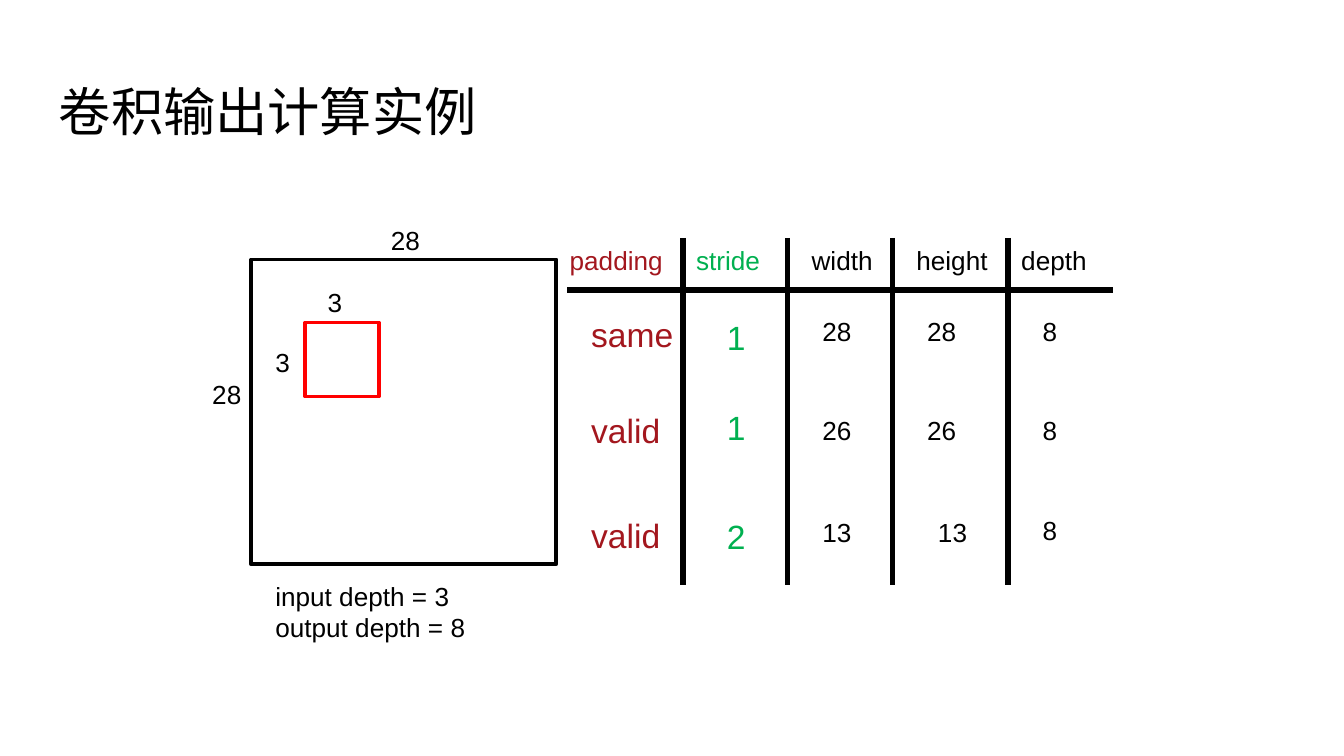
from dataclasses import dataclass

from lxml.etree import SubElement
from pptx import Presentation
from pptx.dml.color import RGBColor
from pptx.enum.shapes import MSO_CONNECTOR, MSO_SHAPE
from pptx.enum.text import MSO_ANCHOR
from pptx.oxml.ns import qn
from pptx.slide import Slide
from pptx.util import Pt


@dataclass(frozen=True)
class Theme:
    font: str = "Arial"
    ink: str = "000000"
    red: str = "FF0000"
    pad: str = "A3171E"
    green: str = "00B050"
    title: float = 28
    large: float = 18
    body: float = 14
    frame: float = 2
    rule: float = 3


THEME = Theme()


@dataclass(frozen=True)
class Label:
    text: str
    left: float
    top: float
    width: float = 39.6
    height: float = 28.8
    size: float = THEME.body
    color: str = THEME.ink


@dataclass(frozen=True)
class Square:
    left: float
    top: float
    side: float
    color: str


@dataclass(frozen=True)
class Rule:
    x1: float
    y1: float
    x2: float
    y2: float


@dataclass(frozen=True)
class Column:
    head: str
    left: float
    inset: float
    cells: tuple[str, ...]
    tops: tuple[float, ...]
    width: float = 39.6
    size: float = THEME.body
    color: str = THEME.ink
    shift: float = 0


FRAME = {
    "word_wrap": True,
    "vertical_anchor": MSO_ANCHOR.TOP,
    "margin_left": Pt(7.2),
    "margin_right": Pt(7.2),
    "margin_top": Pt(7.2),
    "margin_bottom": Pt(7.2),
}
ROWS = (165.6, 218.2, 272.9)
HEAD_TOP, RULE_END = 127.4, 313.2

COLUMNS = (
    Column("padding", 298.1, 11.5, ("same", "valid", "valid"),
           (164.9, 216, 272.2), 90, THEME.large, THEME.pad),
    Column("stride", 365.8, 16.5, ("1", "1", "2"),
           (166.3, 214.6, 272.9), size=THEME.large, color=THEME.green),
    Column("width", 427.7, 5.8, ("28", "26", "13"), ROWS),
    Column("height", 483.8, 5.8, ("28", "26", "13"), ROWS, shift=5.8),
    Column("depth", 540, 11.5, ("8", "8", "8"), (165.6, 218.2, 272.2)),
)
SQUARES = (
    Square(134.6, 139, 163.4, THEME.ink),
    Square(163.4, 172.8, 39.6, THEME.red),
)
RULES = (
    Rule(303.8, 155.5, 596.2, 155.5),
    *(Rule(x, HEAD_TOP, x, RULE_END) for x in (365.8, 421.9, 478.1, 540)),
)
LABELS = (
    Label("卷积输出计算实例", 24.5, 35.3, 671, 45.4, THEME.title),
    Label("28", 106.6, 199.4),
    Label("28", 202.3, 116.6),
    Label("3", 168.5, 149.8),
    Label("3", 140.4, 182.2),
    Label("input depth = 3\noutput depth = 8", 140.4, 307.4, 196.6, 41),
)


def add_label(slide: Slide, item: Label) -> None:
    box = slide.shapes.add_textbox(
        Pt(item.left), Pt(item.top), Pt(item.width), Pt(item.height))
    frame = box.text_frame
    margin = 7.2 if item.size == THEME.title else 3.6
    format = FRAME | {"margin_top": Pt(margin), "margin_bottom": Pt(margin)}
    for name, value in format.items():
        setattr(frame, name, value)
    frame.text = item.text
    for line in frame.paragraphs:
        for name, value in {"name": THEME.font, "size": Pt(item.size)}.items():
            setattr(line.font, name, value)
        line.font.color.rgb = RGBColor.from_string(item.color)


def add_square(slide: Slide, item: Square) -> None:
    shape = slide.shapes.add_shape(
        MSO_SHAPE.RECTANGLE, Pt(item.left), Pt(item.top),
        Pt(item.side), Pt(item.side))
    shape.shadow.inherit = False
    shape.fill.background()
    shape.line.color.rgb = RGBColor.from_string(item.color)
    shape.line.width = Pt(THEME.frame)


def add_rule(slide: Slide, item: Rule) -> None:
    line = slide.shapes.add_connector(
        MSO_CONNECTOR.STRAIGHT, Pt(item.x1), Pt(item.y1),
        Pt(item.x2), Pt(item.y2))
    line.line.color.rgb = RGBColor.from_string(THEME.ink)
    line.line.width = Pt(THEME.rule)
    SubElement(line._element.spPr, qn("a:effectLst"))


def add_column(slide: Slide, item: Column) -> None:
    add_label(slide, Label(item.head, item.left, HEAD_TOP, 90, 24.5,
                           color=item.color))
    last = len(item.cells) - 1
    for row, (text, top) in enumerate(zip(item.cells, item.tops)):
        left = item.left + item.inset + (item.shift if row == last else 0)
        add_label(slide, Label(text, left, top, item.width,
                               size=item.size, color=item.color))


def main() -> None:
    deck = Presentation()
    deck.slide_width, deck.slide_height = Pt(720), Pt(405)
    slide = deck.slides.add_slide(deck.slide_layouts[6])
    for square in SQUARES:
        add_square(slide, square)
    for rule in RULES:
        add_rule(slide, rule)
    for column in COLUMNS:
        add_column(slide, column)
    for label in LABELS:
        add_label(slide, label)
    deck.save("out.pptx")


if __name__ == "__main__":
    main()
